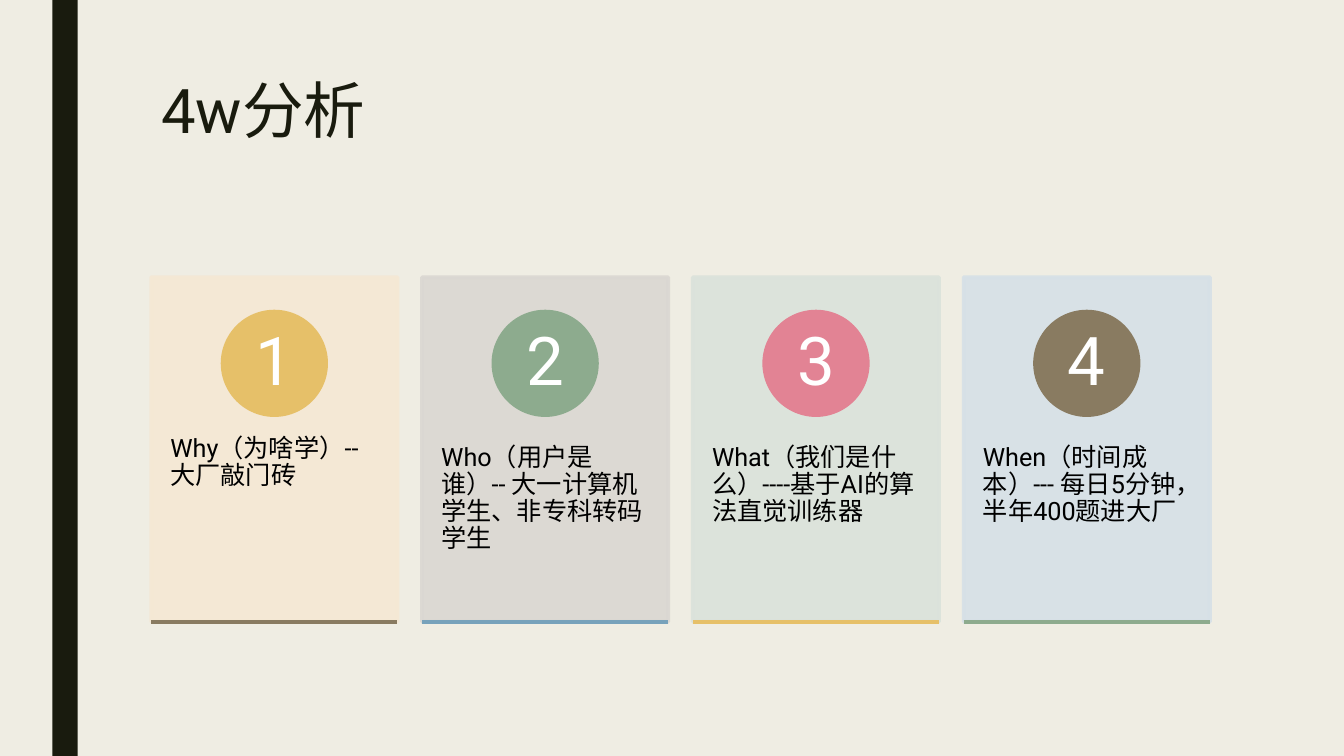
import pptx
import pptx.util
import pptx.dml.color
import pptx.enum.shapes
import pptx.enum.text
import pptx.oxml.ns
import lxml.etree

Inches = pptx.util.Inches
Shape = pptx.enum.shapes.MSO_SHAPE
Anchor = pptx.enum.text.MSO_ANCHOR
Align = pptx.enum.text.PP_ALIGN

THEME = {
    "font": "Roboto",
    "background": "EFEDE3",
    "dark": "191B0E",
    "body": "000000",
    "number": "FFFFFF",
    "title_size": 44,
    "number_size": 48,
    "body_size": 18,
    "outline": 2.75,
    "gold": "E6C069",
    "green": "8DAB8E",
    "pink": "E28394",
    "brown": "897B61",
    "blue": "77A2BB",
    "cards": ["F5E8D4", "DAD7D2", "DBE2DB", "D6E0E7"],
}

CARDS = [
    ("Why（为啥学）-- 大厂敲门砖", "gold", "brown"),
    ("Who（用户是谁）-- 大一计算机学生、非专科转码学生", "green", "blue"),
    ("What（我们是什么）----基于AI的算法直觉训练器", "pink", "gold"),
    ("When（时间成本）--- 每日5分钟，半年400题进大厂", "brown", "green"),
]


def add_block(kind, left, top, width, height, color, outlined=True):
    block = page.shapes.add_shape(
        kind, Inches(left), Inches(top), Inches(width), Inches(height))
    block.shadow.inherit = False
    block.fill.solid()
    block.fill.fore_color.rgb = pptx.dml.color.RGBColor.from_string(color)
    if outlined:
        block.line.color.rgb = pptx.dml.color.RGBColor.from_string(color)
        block.line.width = pptx.util.Pt(THEME["outline"])
    else:
        block.line.fill.background()
    return block


def write(box, text, role, margins, spacing, anchor=Anchor.TOP, align=Align.LEFT):
    frame = box.text_frame
    frame.word_wrap = True
    frame.vertical_anchor = anchor
    frame.margin_left = frame.margin_right = Inches(margins[0])
    frame.margin_top = frame.margin_bottom = Inches(margins[1])
    para = frame.paragraphs[0]
    para.text = text
    para.alignment = align
    para.line_spacing = spacing
    para.font.name = THEME["font"]
    para.font.size = pptx.util.Pt(THEME[role + "_size"])
    color = THEME["dark" if role == "title" else role]
    para.font.color.rgb = pptx.dml.color.RGBColor.from_string(color)


deck = pptx.Presentation()
deck.slide_width = Inches(13.33)
deck.slide_height = Inches(7.5)
page = deck.slides.add_slide(deck.slide_layouts[6])
page.background.fill.solid()
page.background.fill.fore_color.rgb = pptx.dml.color.RGBColor.from_string(THEME["background"])

left_edge, content_width = 1.5, 10.5
card_top = 2.75
gap_share = 0.1
card_width = content_width / (len(CARDS) + gap_share * (len(CARDS) - 1))
card_height = 1.4 * card_width
pitch = card_width * (1 + gap_share)
circle_size = 0.3 * card_height

add_block(Shape.RECTANGLE, 0.52, 0, 0.25, 7.5, THEME["dark"], outlined=False)
title = page.shapes.add_textbox(
    Inches(left_edge), Inches(0.75), Inches(content_width), Inches(1.62))
write(title, "4w分析", "title", (0.1, 0.05), 0.89)

for column, (text, circle_color, rule_color) in enumerate(CARDS):
    left = left_edge + column * pitch
    card = add_block(Shape.RECTANGLE, left, card_top, card_width, card_height,
                     THEME["cards"][column])
    for color in card.element.spPr.iter(pptx.oxml.ns.qn("a:srgbClr")):
        lxml.etree.SubElement(color, pptx.oxml.ns.qn("a:alpha"), val="90000")

    body = page.shapes.add_textbox(
        Inches(left), Inches(card_top + 0.38 * card_height),
        Inches(card_width), Inches(0.6 * card_height))
    write(body, text, "body", (0.19, 0.36), 0.9)

    circle = add_block(Shape.OVAL, left + (card_width - circle_size) / 2,
                       card_top + 0.1 * card_height, circle_size, circle_size,
                       THEME[circle_color])
    write(circle, str(column + 1), "number", (0.08, 0.01), 0.9, Anchor.MIDDLE, Align.CENTER)

    bottom = Inches(card_top + card_height)
    rule = page.shapes.add_connector(
        pptx.enum.shapes.MSO_CONNECTOR.STRAIGHT,
        Inches(left), bottom, Inches(left + card_width), bottom)
    rule.line.color.rgb = pptx.dml.color.RGBColor.from_string(THEME[rule_color])
    rule.line.width = pptx.util.Pt(THEME["outline"])
    lxml.etree.SubElement(rule.element.spPr, pptx.oxml.ns.qn("a:effectLst"))

deck.save("out.pptx")
